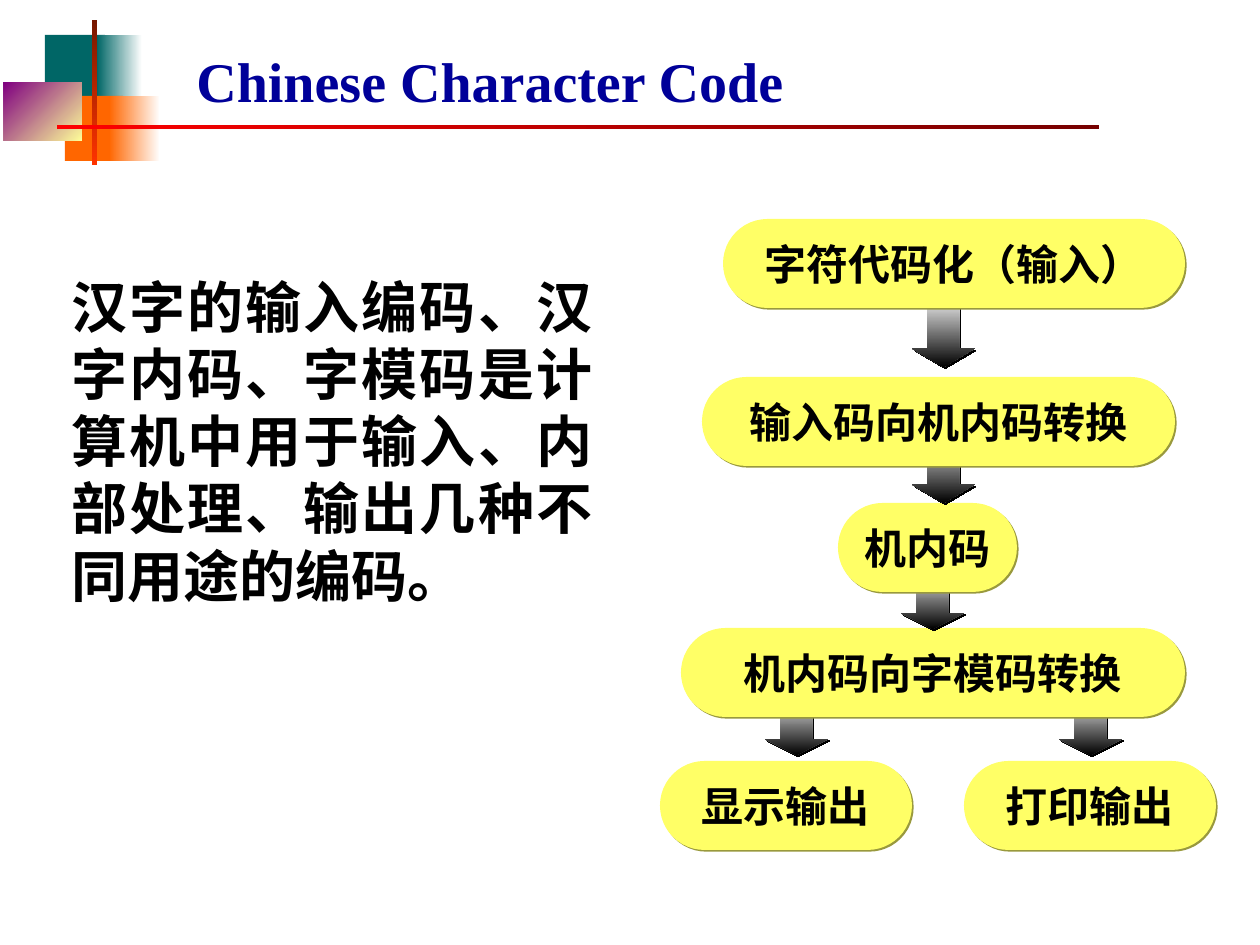
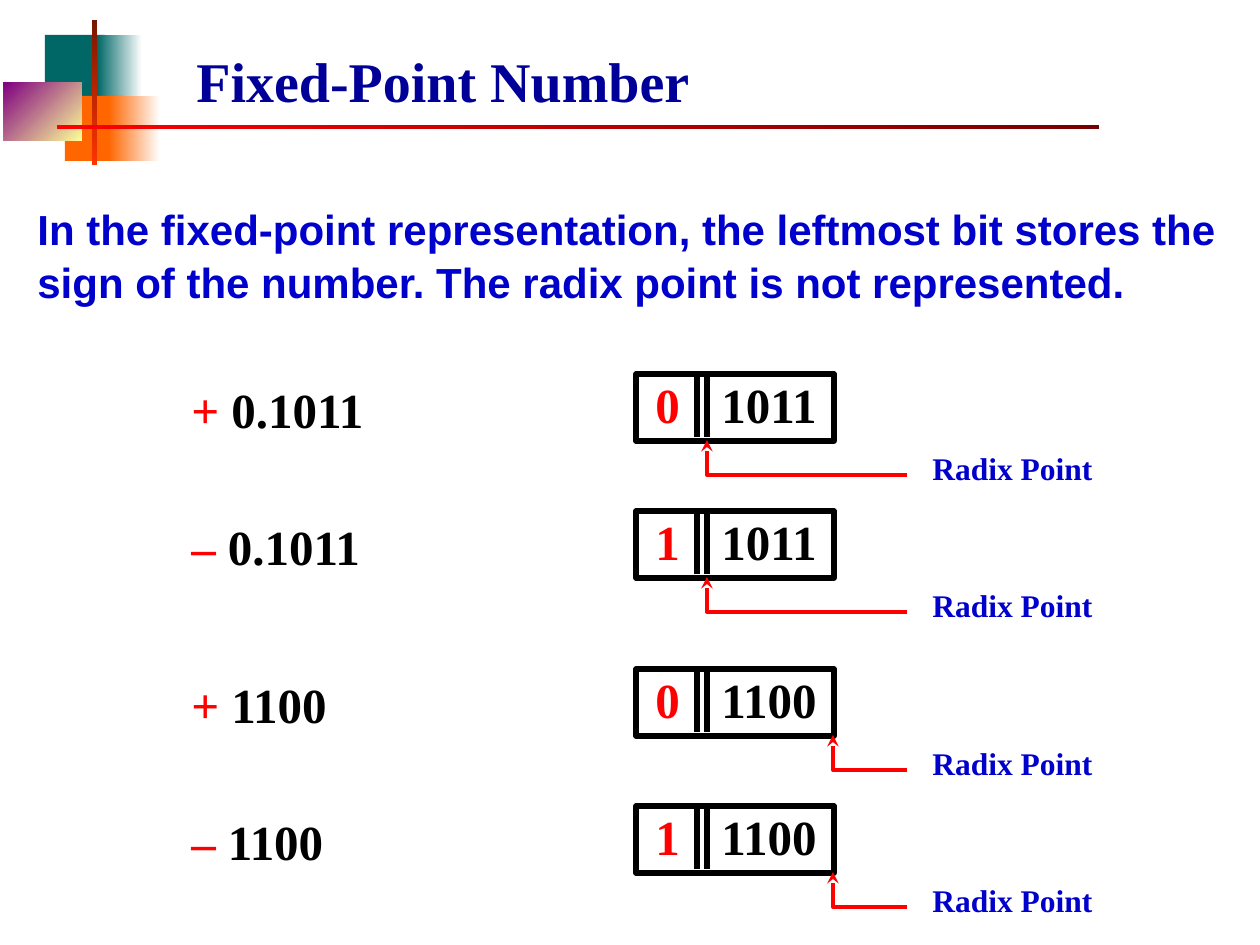
from lxml import etree
from pptx import Presentation
from pptx.dml.color import RGBColor
from pptx.enum.shapes import MSO_CONNECTOR, MSO_SHAPE
from pptx.enum.text import MSO_ANCHOR, PP_ALIGN
from pptx.oxml.ns import qn
from pptx.util import Pt

RECT, PILL, ARROW = MSO_SHAPE.RECTANGLE, MSO_SHAPE.ROUNDED_RECTANGLE, MSO_SHAPE.DOWN_ARROW
STRAIGHT = MSO_CONNECTOR.STRAIGHT
TOP, MIDDLE = MSO_ANCHOR.TOP, MSO_ANCHOR.MIDDLE
LEFT, CENTER, JUSTIFY = PP_ALIGN.LEFT, PP_ALIGN.CENTER, PP_ALIGN.JUSTIFY
PX = 914400 / 126


class Theme:
    serif, sans = "Times New Roman", "Arial"
    title, blue, red, black, white = "000099", "0000CC", "FF0000", "000000", "FFFFFF"
    teal, orange, cream, purple = "006666", "FF6600", "FFFF99", "800080"
    rust, vermilion, maroon = "761800", "FF3300", "760000"
    pill, pill_shadow = "FFFF66", "99993D"
    title_size, body_size, step_size, number_size, label_size = 32, 32, 24, 28, 18


def add_block(slide, kind, box, fill=None, angle=None, shadow=None):
    """Draw a preset shape; fill is None, one colour, or two gradient colours."""
    block = slide.shapes.add_shape(kind, *[round(v * PX) for v in box])
    block.shadow.inherit = False
    block.line.fill.background()
    if fill is None:
        block.fill.background()
    elif angle is None:
        block.fill.solid()
        block.fill.fore_color.rgb = RGBColor.from_string(fill)
    else:
        block.fill.gradient()
        block.fill.gradient_angle = (360 - angle) % 360
        for stop, color in zip(block.fill.gradient_stops, fill):
            stop.color.rgb = RGBColor.from_string(color)
    if shadow:
        effects = block._element.spPr.find(qn("a:effectLst"))
        outer = etree.SubElement(effects, qn("a:outerShdw"), dist=str(Pt(1.4)),
                                 dir="2700000", algn="ctr", rotWithShape="0")
        etree.SubElement(outer, qn("a:srgbClr"), val=shadow)
    return block


def add_text(slide, box, runs, size, font=Theme.serif, align=LEFT, anchor=TOP, wrap=True):
    """Write one bold paragraph made of (text, colour) runs in a text box."""
    frame = slide.shapes.add_textbox(*[round(v * PX) for v in box]).text_frame
    frame.word_wrap = wrap
    frame.vertical_anchor = anchor
    paragraph = frame.paragraphs[0]
    paragraph.alignment = align
    for words, color in runs:
        run = paragraph.add_run()
        run.text = words
        run.font.name, run.font.size, run.font.bold = font, Pt(size), True
        run.font.color.rgb = RGBColor.from_string(color)
    return paragraph


prs = Presentation()
prs.slide_width, prs.slide_height = round(1260 * PX), round(945 * PX)

# Shared header: coloured squares, crossing bars and title
HEADER_BLOCKS = [
    ((45, 35, 60, 66), Theme.teal, None),
    ((97, 35, 45, 66), (Theme.white, Theme.teal), 180),
    ((65, 96, 58, 65), Theme.orange, None),
    ((109, 96, 51, 65), (Theme.white, Theme.orange), 180),
    ((4, 82, 78, 59), (Theme.cream, Theme.purple), 225),
    ((92, 20, 5, 145), (Theme.rust, Theme.vermilion), 90),
    ((57, 125, 1042, 4), (Theme.red, Theme.maroon), 0),
]
slides = []
for title in ("Chinese Character Code", "Fixed-Point Number"):
    slide = prs.slides.add_slide(prs.slide_layouts[6])
    for box, fill, angle in HEADER_BLOCKS:
        add_block(slide, RECT, box, fill, angle)
    add_text(slide, (184, 45, 992, 70), [(title, Theme.title)], Theme.title_size, anchor=MIDDLE)
    slides.append(slide)
code_slide, number_slide = slides

# Slide 1: explanation
add_text(code_slide, (59, 266, 546, 504),
         [("汉字的输入编码、汉字内码、字模码是计算机中用于输入、内部处理、输出几种不同用途的编码。",
           Theme.black)], Theme.body_size, Theme.sans, JUSTIFY)

# Slide 1: steps from last to first, so each step covers the top of the arrow leaving it
STEP_HEIGHT, ARROW_WIDTH = 89, 63
STEPS = [  # text, left, top, width, incoming arrow (left, top, height)
    ("显示输出", 660, 761, 252, (765, 692, 63)),
    ("打印输出", 964, 761, 252, (1059, 692, 63)),
    ("机内码向字模码转换", 681, 628, 504, (901, 566, 63)),
    ("机内码", 838, 503, 179, (912, 429, 74)),
    ("输入码向机内码转换", 702, 377, 473, (912, 293, 74)),
    ("字符代码化（输入）", 723, 219, 462, None),
]
for step, left, top, width, arrow in STEPS:
    pill = add_block(code_slide, PILL, (left, top, width, STEP_HEIGHT), Theme.pill,
                     shadow=Theme.pill_shadow)
    pill.adjustments[0] = 0.5
    frame = pill.text_frame
    frame.text = step
    frame.vertical_anchor = MIDDLE
    frame.paragraphs[0].alignment = CENTER
    font = frame.paragraphs[0].runs[0].font
    font.name, font.size, font.bold = Theme.serif, Pt(Theme.step_size), True
    font.color.rgb = RGBColor.from_string(Theme.black)
    if arrow:
        arrow_left, arrow_top, arrow_height = arrow
        pointer = add_block(code_slide, ARROW, (arrow_left, arrow_top, ARROW_WIDTH, arrow_height),
                            (Theme.white, Theme.black), 90, Theme.black)
        pointer.adjustments[1] = 0.25 * arrow_height / ARROW_WIDTH

# Slide 2: statement
statement = add_text(number_slide, (25, 195, 1216, 116),
                     [("In the fixed-point representation, the leftmost bit stores the sign of "
                       "the number. The radix point is not represented.", Theme.blue)],
                     Theme.step_size, Theme.sans)
statement.line_spacing = 1.05

# Slide 2: numbers beside their stored bits, in two pairs of rows
FIRST_ROW, ROW_STEP, PAIR_STEP = 374, 137, 295
DIVIDERS, REGISTER_LEFT, REGISTER_WIDTH = (697, 707), 636, 198
NUMBERS = [  # sign, value, sign bit, bits, radix point
    ("+", "0.1011", "0", "1011", 707),
    ("–", "0.1011", "1", "1011", 707),
    ("+", "1100", "0", "1100", 833),
    ("–", "1100", "1", "1100", 833),
]
for index, (sign, value, sign_bit, bits, radix) in enumerate(NUMBERS):
    pair, row = divmod(index, 2)
    top = FIRST_ROW + pair * PAIR_STEP + row * ROW_STEP
    add_text(number_slide, (179, top - 1, 200, 72),
             [(sign, Theme.red), (" " + value, Theme.black)], Theme.number_size, wrap=False)

    # Register with its sign bit set apart
    stored = add_text(number_slide, (643, top - 6, 230, 72),
                      [(sign_bit, Theme.red), ("\t" + bits, Theme.black)], Theme.number_size)
    tabs = etree.SubElement(stored._p.get_or_add_pPr(), qn("a:tabLst"))
    etree.SubElement(tabs, qn("a:tab"), pos=str(round(66 * PX)), algn="l")
    register = add_block(number_slide, RECT, (REGISTER_LEFT, top, REGISTER_WIDTH, 67))
    register.line.color.rgb = RGBColor.from_string(Theme.black)
    register.line.width = Pt(3)
    for x in DIVIDERS:
        divider = number_slide.shapes.add_connector(
            STRAIGHT, *[round(v * PX) for v in (x, top, x, top + 63)])
        divider.line.color.rgb = RGBColor.from_string(Theme.black)
        divider.line.width = Pt(3)
        etree.SubElement(divider._element.spPr, qn("a:effectLst"))

    # Bent pointer from the label to the radix point
    corners = [(round(x * PX), round(y * PX))
               for x, y in ((907, top + 101), (radix, top + 101), (radix, top + 66))]
    outline = number_slide.shapes.build_freeform(*corners[0])
    outline.add_line_segments(corners[1:], close=False)
    bend = outline.convert_to_shape()
    bend.shadow.inherit = False
    bend.fill.background()
    bend.line.color.rgb = RGBColor.from_string(Theme.red)
    bend.line.width = Pt(2.25)
    etree.SubElement(bend._element.spPr.find(qn("a:ln")), qn("a:tailEnd"), type="stealth")
    add_text(number_slide, (920, top + 69, 185, 50), [("Radix Point", Theme.blue)],
             Theme.label_size, wrap=False)

prs.save("out.pptx")
